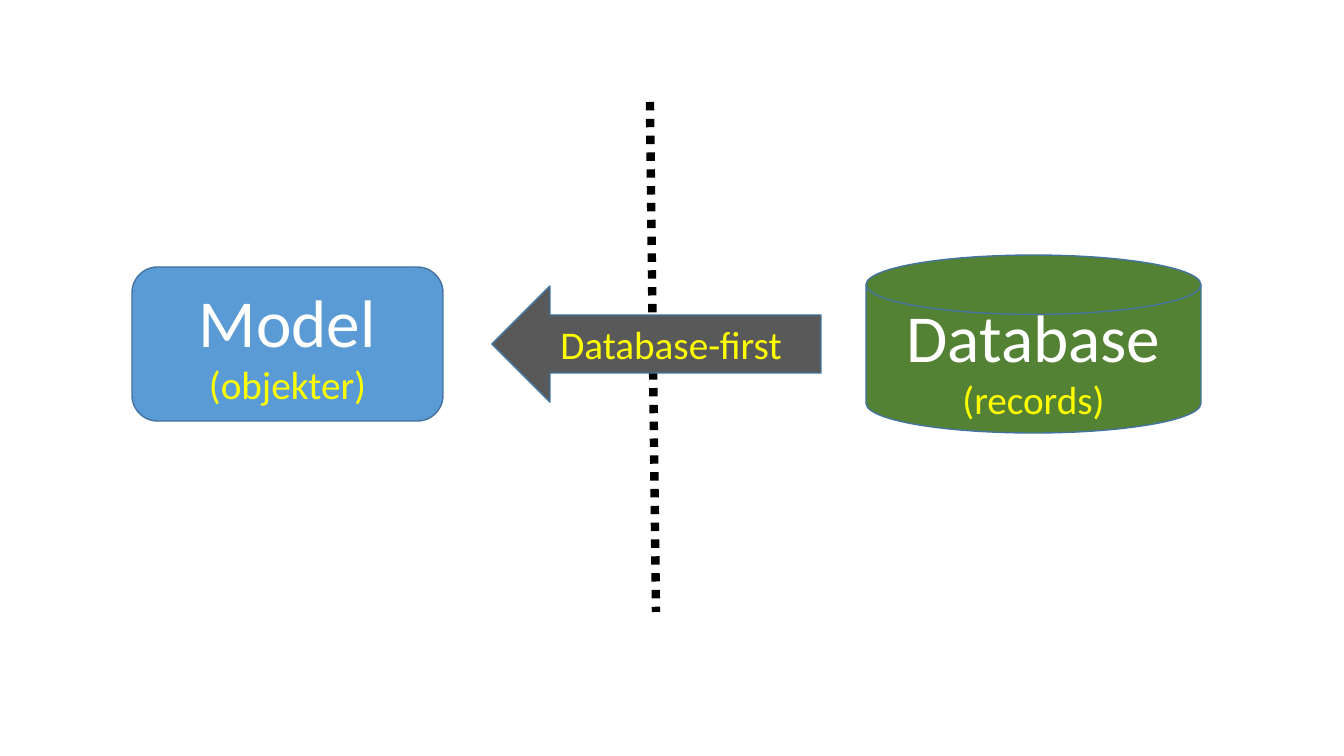
from dataclasses import dataclass
from pptx import Presentation
from pptx.dml.color import RGBColor
from pptx.enum.dml import MSO_LINE as Dash
from pptx.enum.shapes import MSO_CONNECTOR as Link, MSO_SHAPE as Kind
from pptx.enum.text import MSO_ANCHOR as Anchor, PP_ALIGN as Align
from pptx.oxml.ns import qn
from pptx.util import Emu, Pt
from lxml import etree


@dataclass(frozen=True)
class Theme:
    font: str = "Calibri"
    big: int = 48
    small: int = 28
    white: str = "FFFFFF"
    yellow: str = "FFFF00"
    green: str = "548235"
    blue: str = "5B9BD5"
    gray: str = "595959"
    edge: str = "43739E"
    black: str = "000000"


T = Theme()
TITLE, NOTE = (T.big, T.white), (T.small, T.yellow)

# Content: kind, fill, left, width, height, lines of text
BOXES = [
    (Kind.FLOWCHART_MAGNETIC_DISK, T.green, 866, 335, 178,
     [("Database", TITLE), ("(records)", NOTE)]),
    (Kind.ROUNDED_RECTANGLE, T.blue, 132, 311, 154,
     [("Model", TITLE), ("(objekter)", NOTE)]),
]
ARROW = (Kind.LEFT_ARROW, T.gray, 492, 329, 116, [("Database-first", NOTE)])
BORDER = (650, 102, 656, 612)
WIDE, HIGH, MID = 1344, 756, 344


def px(n):
    return Emu(round(n * 914400 / 100.8))


def rgb(code):
    return RGBColor.from_string(code)


# Each box is centred on the same height
def add_box(slide, kind, fill, left, width, height, lines):
    top = MID - height // 2
    box = slide.shapes.add_shape(kind, px(left), px(top), px(width), px(height))
    box.shadow.inherit = False
    box.fill.solid()
    box.fill.fore_color.rgb = rgb(fill)
    box.line.color.rgb = rgb(T.edge)
    box.line.width = Pt(1)
    frame = box.text_frame
    frame.word_wrap = True
    frame.vertical_anchor = Anchor.MIDDLE
    for i, (text, (size, color)) in enumerate(lines):
        para = frame.add_paragraph() if i else frame.paragraphs[0]
        para.alignment = Align.CENTER
        run = para.add_run()
        run.text = text
        run.font.name = T.font
        run.font.size = Pt(size)
        run.font.color.rgb = rgb(color)


# Dotted border between the two sides
def add_border(slide):
    line = slide.shapes.add_connector(Link.STRAIGHT, *map(px, BORDER))
    line.line.color.rgb = rgb(T.black)
    line.line.width = Pt(6)
    line.line.dash_style = Dash.ROUND_DOT
    props = line._element.spPr
    etree.SubElement(props, qn("a:effectLst"))


def main():
    deck = Presentation()
    deck.slide_width, deck.slide_height = px(WIDE), px(HIGH)
    slide = deck.slides.add_slide(deck.slide_layouts[6])
    for box in BOXES:
        add_box(slide, *box)
    add_border(slide)
    add_box(slide, *ARROW)
    deck.save("out.pptx")


if __name__ == "__main__":
    main()
